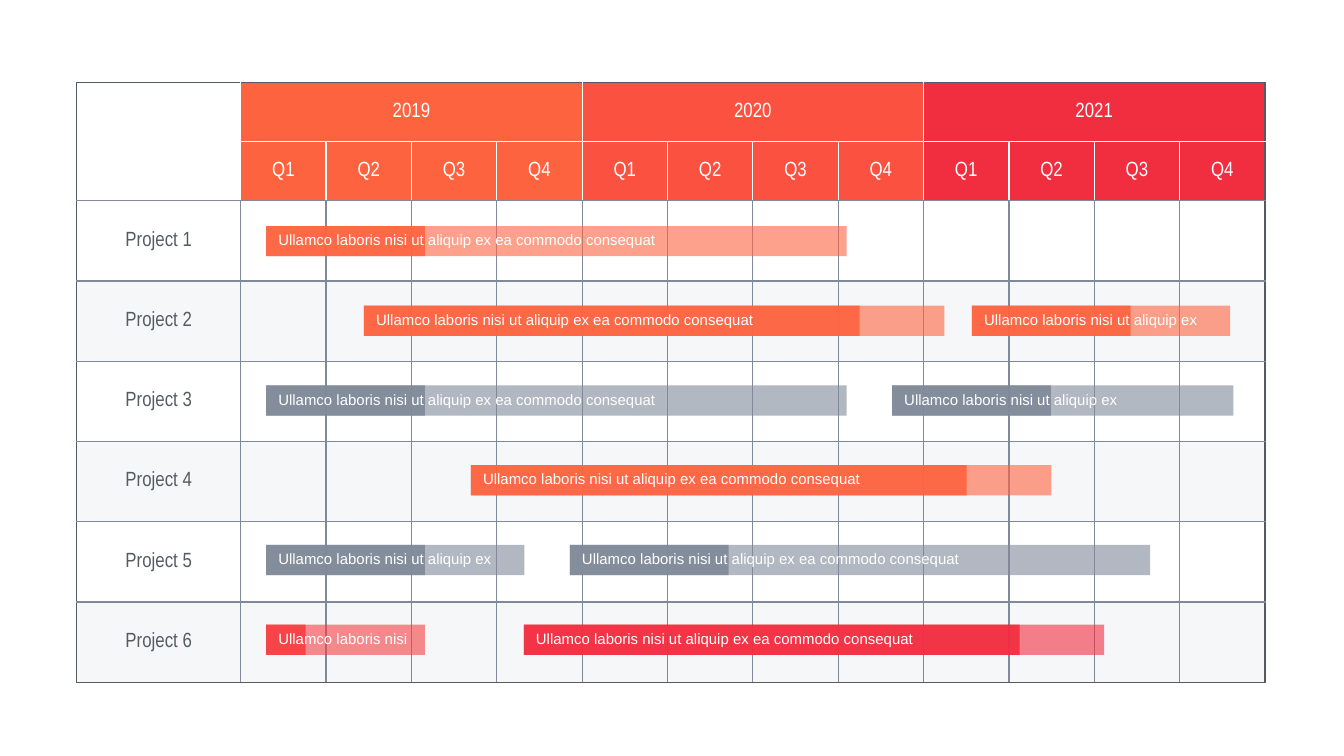
from dataclasses import dataclass

from lxml import etree
from pptx import Presentation
from pptx import util as u
from pptx.dml import color
from pptx.enum import shapes, text
from pptx.oxml import ns


@dataclass(frozen=True)
class Theme:
    white: str = "FFFFFF"
    ink: str = "545B63"
    grid: str = "7F8998"
    stripe: str = "EEF0F4"
    orange: str = "FE6340"
    coral: str = "FA5140"
    scarlet: str = "F53E42"
    red: str = "F12E40"
    table_font: str = "Arial Narrow"
    bar_font: str = "Arial"
    table_size: float = 11
    bar_size: float = 8
    line_width: float = 0.75


theme = Theme()


def paint(fill, properties, rgb, opacity=100):
    """Fill a shape or cell; properties is the XML element that holds the fill."""
    fill.solid()
    fill.fore_color.rgb = color.RGBColor.from_string(rgb)
    if opacity < 100:
        tint = properties.find(ns.qn("a:solidFill")).find(ns.qn("a:srgbClr"))
        etree.SubElement(tint, ns.qn("a:alpha"), val=str(opacity * 1000))


def write(frame, words, font, size, rgb, align=text.PP_ALIGN.LEFT):
    para = frame.paragraphs[0]
    para.alignment = align
    span = para.add_run()
    span.text = words
    span.font.name = font
    span.font.size = u.Pt(size)
    span.font.color.rgb = color.RGBColor.from_string(rgb)


deck = Presentation()
deck.slide_width, deck.slide_height = u.Cm(25.4), u.Cm(14.28)
page = deck.slides.add_slide(deck.slide_layouts[6])

# Table grid: two header rows, six projects, twelve quarters
header_rows, project_rows, quarters = 2, 6, 12
row_count, column_count = header_rows + project_rows, quarters + 1
label_width, quarters_width = 3.1, 19.36
header_height, projects_height = 2.23, 9.1
table = page.shapes.add_table(
    row_count, column_count, u.Cm(1.45), u.Cm(1.56),
    u.Cm(label_width + quarters_width), u.Cm(header_height + projects_height),
).table
table.first_row = table.horz_banding = False
for index, column in enumerate(table.columns):
    column.width = u.Cm(quarters_width / quarters if index else label_width)
for index, row in enumerate(table.rows):
    row.height = u.Cm(header_height / header_rows if index < header_rows
                      else projects_height / project_rows)

# Merged corner and year headings
table.cell(0, 0).merge(table.cell(1, 0))
years = [("2019", theme.orange), ("2020", theme.coral), ("2021", theme.red)]
for index, (year, _) in enumerate(years):
    first = 1 + 4 * index
    table.cell(0, first).merge(table.cell(0, first + 3))

# Cell fills, wording and borders
for r in range(row_count):
    for c in range(column_count):
        cell = table.cell(r, c)
        cell.vertical_anchor = text.MSO_ANCHOR.MIDDLE
        cell.margin_left = cell.margin_right = u.Cm(0.1)
        cell.margin_top = cell.margin_bottom = u.Cm(0.05)
        properties = cell._tc.get_or_add_tcPr()
        words, ink = "", theme.white
        if r < header_rows and c == 0:
            cell.fill.background()
        elif r < header_rows:
            year, shade = years[(c - 1) // 4]
            paint(cell.fill, properties, shade)
            words = f"Q{(c - 1) % 4 + 1}" if r else year
        else:
            striped = r % 2 == 1
            paint(cell.fill, properties, theme.stripe if striped else theme.white,
                  50 if striped else 100)
            if c == 0:
                words, ink = f"Project {r - 1}", theme.ink
        if words and not cell.is_spanned:
            write(cell.text_frame, words, theme.table_font, theme.table_size, ink,
                  text.PP_ALIGN.CENTER)

        right = c + (cell.span_width if cell.is_merge_origin else 1)
        bottom = r + (cell.span_height if cell.is_merge_origin else 1)
        edges = [("lnL", c, column_count), ("lnR", right, column_count),
                 ("lnT", r, row_count), ("lnB", bottom, row_count)]
        for order, (tag, position, last) in enumerate(edges):
            in_header = r < header_rows if tag in ("lnL", "lnR") else position == 1
            rgb = (theme.ink if position in (0, last)
                   else theme.white if in_header else theme.grid)
            line = etree.Element(ns.qn(f"a:{tag}"), w=str(u.Pt(theme.line_width)))
            solid = etree.SubElement(line, ns.qn("a:solidFill"))
            etree.SubElement(solid, ns.qn("a:srgbClr"), val=rgb)
            properties.insert(order, line)

# Task bars: project, left, full length, done length, colour, label
brief = "Ullamco laboris nisi"
medium = brief + " ut aliquip ex"
full = medium + " ea commodo consequat"
label_widths = {brief: 2.87, medium: 4.75, full: 7.9}
tasks = [
    (1, 5.03, 10.97, 3, theme.orange, full),
    (2, 6.88, 10.97, 9.37, theme.orange, full),
    (2, 18.37, 4.88, 3, theme.orange, medium),
    (3, 5.03, 10.97, 3, theme.grid, full),
    (3, 16.86, 6.45, 3, theme.grid, medium),
    (4, 8.9, 10.97, 9.37, theme.orange, full),
    (5, 5.03, 4.88, 3, theme.grid, medium),
    (5, 10.77, 10.97, 3, theme.grid, full),
    (6, 5.03, 3, 0.75, theme.scarlet, brief),
    (6, 9.9, 10.97, 9.37, theme.red, full),
]
first_top, last_top = 4.27, 11.8
for project, left, length, done, rgb, label in tasks:
    top = first_top + (project - 1) * (last_top - first_top) / (project_rows - 1)
    group = page.shapes.add_group_shape()
    for width, opacity in ((length, 60), (done, 90)):
        bar = group.shapes.add_shape(shapes.MSO_SHAPE.RECTANGLE, u.Cm(left), u.Cm(top),
                                     u.Cm(width), u.Cm(0.57))
        bar.shadow.inherit = False
        bar.line.fill.background()
        paint(bar.fill, bar.element.spPr, rgb, opacity)
    box = group.shapes.add_textbox(u.Cm(left + 0.13), u.Cm(top + 0.04),
                                   u.Cm(label_widths[label]), u.Cm(0.46))
    frame = box.text_frame
    frame.word_wrap = True
    frame.margin_left = frame.margin_right = u.Cm(0.1)
    frame.margin_top = frame.margin_bottom = u.Cm(0.05)
    write(frame, label, theme.bar_font, theme.bar_size, theme.white)

deck.save("out.pptx")
